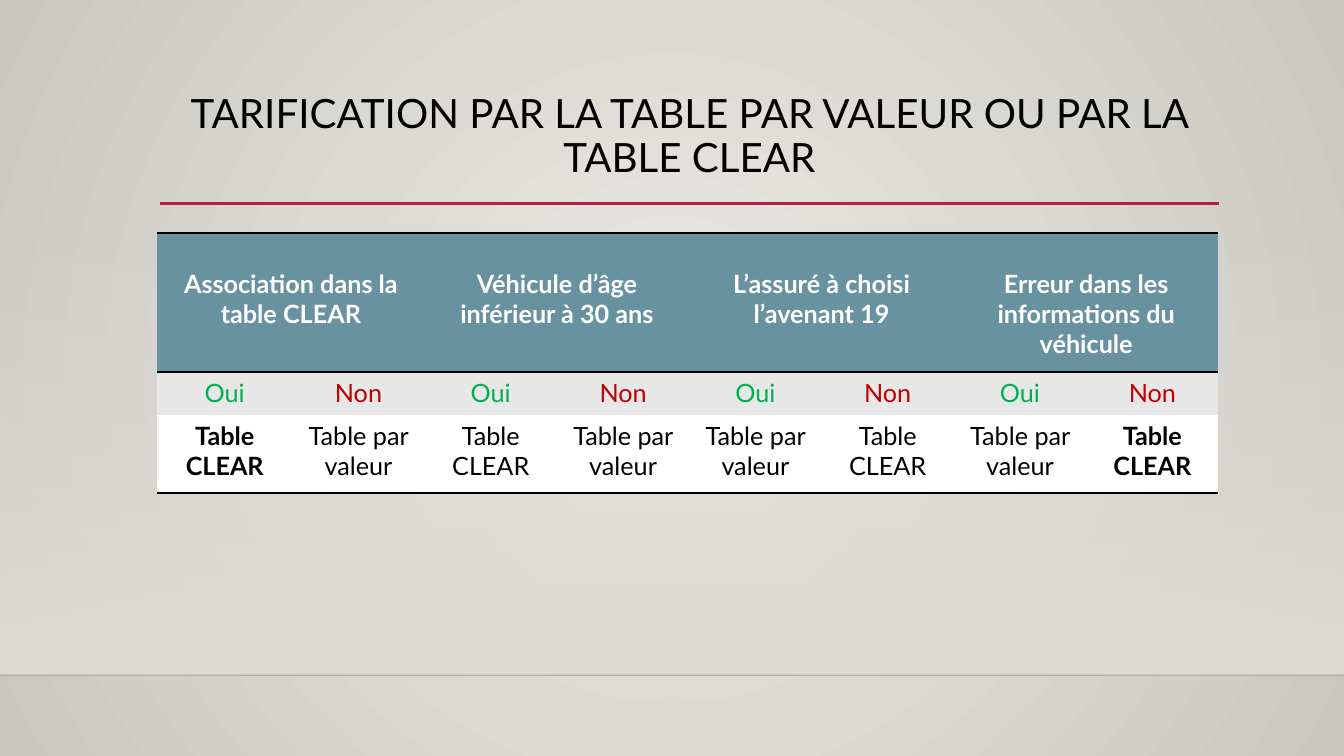
from dataclasses import dataclass

from lxml.etree import SubElement
from pptx import Presentation
from pptx.dml.color import RGBColor
from pptx.dml.fill import FillFormat
from pptx.enum.shapes import MSO_CONNECTOR, MSO_SHAPE
from pptx.enum.text import MSO_ANCHOR, MSO_AUTO_SIZE, PP_ALIGN
from pptx.oxml import parse_xml
from pptx.oxml.ns import nsdecls, qn
from pptx.shapes.connector import Connector
from pptx.slide import Slide
from pptx.table import Table, _Cell
from pptx.text.text import _Paragraph
from pptx.util import Pt

FONT = "Lato"
BLACK = RGBColor(0x00, 0x00, 0x00)
WHITE = RGBColor(0xFF, 0xFF, 0xFF)
GREEN = RGBColor(0x00, 0xB0, 0x50)
RED = RGBColor(0xC0, 0x00, 0x00)
CRIMSON = RGBColor(0xB7, 0x1E, 0x42)
TEAL = RGBColor(0x68, 0x92, 0xA0)
PALE_GREY = RGBColor(0xE7, 0xE7, 0xE7)
WALL_LIGHT = RGBColor(0xEC, 0xEA, 0xE7)
WALL_DARK = RGBColor(0xCA, 0xC7, 0xC1)
HAZE = RGBColor(0xDF, 0xDB, 0xD5)
FLOOR_EDGE = RGBColor(0x00, 0x00, 0x01)

PAGE_WIDTH, PAGE_HEIGHT = 960, 540
HAZE_TOP, FLOOR_TOP = 159.12, 482.4
FIRST_COLUMN, OTHER_COLUMN = 96.5, 94.52
ROW_HEIGHTS = (99.4, 31, 55.4)
HEADER_TOP_MARGIN = 25.2


@dataclass(frozen=True)
class Answer:
    word: str
    color: RGBColor
    pricing: str
    bold: bool = False


@dataclass(frozen=True)
class Criterion:
    heading: str
    answers: tuple[Answer, Answer]


def criterion(heading: str, yes: str, no: str, yes_bold: bool = False,
              no_bold: bool = False) -> Criterion:
    return Criterion(heading, (Answer("Oui", GREEN, yes, yes_bold),
                               Answer("Non", RED, no, no_bold)))


CLEAR, VALUE = "Table CLEAR", "Table par valeur"
CRITERIA = (
    criterion("Association dans la table CLEAR", CLEAR, VALUE, yes_bold=True),
    criterion("Véhicule d’âge inférieur à 30 ans", CLEAR, VALUE),
    criterion("L’assuré à choisi l’avenant 19", VALUE, CLEAR),
    criterion("Erreur dans les informations du véhicule", VALUE, CLEAR, no_bold=True),
)


def set_gradient(fill: FillFormat, start: RGBColor, end: RGBColor) -> None:
    fill.gradient()
    for stop, color in zip(fill.gradient_stops, (start, end)):
        stop.color.rgb = color


def add_span(paragraph: _Paragraph, text: str, size: float, color: RGBColor,
             bold: bool = False) -> None:
    paragraph.alignment = PP_ALIGN.CENTER
    span = paragraph.add_run()
    span.text = text
    span.font.name = FONT
    span.font.size = Pt(size)
    span.font.color.rgb = color
    span.font.bold = bold


def paint_background(page: Slide) -> None:
    set_gradient(page.background.fill, WALL_LIGHT, WALL_DARK)
    linear = next(page.background._cSld.iter(qn("a:lin")))
    circle = parse_xml(
        f'<a:path {nsdecls("a")} path="circle">'
        '<a:fillToRect l="50000" t="50000" r="50000" b="50000"/></a:path>')
    linear.getparent().replace(linear, circle)


def add_haze(page: Slide) -> None:
    haze = page.shapes.add_shape(MSO_SHAPE.RECTANGLE, 0, Pt(HAZE_TOP),
                                 Pt(PAGE_WIDTH), Pt(FLOOR_TOP - HAZE_TOP))
    haze.shadow.inherit = False
    haze.line.fill.background()
    set_gradient(haze.fill, HAZE, HAZE)
    haze.fill.gradient_angle = 270
    top_color = next(haze._element.spPr.iter(qn("a:srgbClr")))
    SubElement(top_color, qn("a:alpha"), val="0")


def add_rule(page: Slide, left: float, right: float, top: float,
             color: RGBColor, width: float) -> Connector:
    rule = page.shapes.add_connector(MSO_CONNECTOR.STRAIGHT, Pt(left), Pt(top),
                                     Pt(right), Pt(top))
    rule.line.color.rgb = color
    rule.line.width = Pt(width)
    SubElement(rule._element.spPr, qn("a:effectLst"))
    return rule


def add_title(page: Slide, text: str) -> None:
    title = page.shapes.title
    title.left, title.top = Pt(114.5), Pt(63.4)
    title.width, title.height = Pt(756), Pt(82.8)
    frame = title.text_frame
    frame.word_wrap = True
    frame.auto_size = MSO_AUTO_SIZE.NONE
    frame.vertical_anchor = MSO_ANCHOR.TOP
    paragraph = frame.paragraphs[0]
    paragraph.line_spacing = 0.9
    add_span(paragraph, text, 28.8, BLACK)


def style_cell(cell: _Cell, fill: RGBColor, borders: tuple[str, ...] = ()) -> None:
    cell.fill.solid()
    cell.fill.fore_color.rgb = fill
    properties = cell._tc.get_or_add_tcPr()
    for index, side in enumerate(borders):
        properties.insert(index, parse_xml(
            f'<a:{side} {nsdecls("a")} w="{Pt(2)}"><a:solidFill>'
            f'<a:srgbClr val="{BLACK}"/></a:solidFill></a:{side}>'))


def fill_criterion(table: Table, column: int, item: Criterion) -> None:
    header = table.cell(0, column)
    header.merge(table.cell(0, column + 1))
    header.margin_top = Pt(HEADER_TOP_MARGIN)
    add_span(header.text_frame.paragraphs[0], item.heading, 18, WHITE, True)
    for position, answer in enumerate(item.answers, column):
        style_cell(table.cell(0, position), TEAL, ("lnT", "lnB"))
        word, pricing = table.cell(1, position), table.cell(2, position)
        style_cell(word, PALE_GREY)
        style_cell(pricing, WHITE, ("lnB",))
        add_span(word.text_frame.paragraphs[0], answer.word, 18, answer.color)
        add_span(pricing.text_frame.paragraphs[0], answer.pricing, 18, BLACK, answer.bold)


def add_pricing_table(page: Slide) -> None:
    columns = 2 * len(CRITERIA)
    width = FIRST_COLUMN + (columns - 1) * OTHER_COLUMN
    table = page.shapes.add_table(len(ROW_HEIGHTS), columns, Pt(112.3), Pt(166.4),
                                  Pt(width), Pt(sum(ROW_HEIGHTS))).table
    table.first_row = table.horz_banding = False
    style = next(table._tbl.iter(qn("a:tableStyleId")))
    style.text = "{2D5ABB26-0587-4C30-8999-92F81FD0307C}"
    for index, column in enumerate(table.columns):
        column.width = Pt(OTHER_COLUMN if index else FIRST_COLUMN)
    for row, height in zip(table.rows, ROW_HEIGHTS):
        row.height = Pt(height)
    for index, item in enumerate(CRITERIA):
        fill_criterion(table, 2 * index, item)


def main() -> None:
    deck = Presentation()
    deck.slide_width, deck.slide_height = Pt(PAGE_WIDTH), Pt(PAGE_HEIGHT)
    page = deck.slides.add_slide(deck.slide_layouts[5])
    paint_background(page)
    add_haze(page)
    floor_edge = add_rule(page, 0, PAGE_WIDTH, FLOOR_TOP, FLOOR_EDGE, 1)
    edge_color = next(floor_edge._element.spPr.iter(qn("a:srgbClr")))
    SubElement(edge_color, qn("a:alpha"), val="20000")
    add_rule(page, 114.5, 871, 145.4, CRIMSON, 2.5)
    add_title(page, "TARIFICATION PAR LA TABLE PAR VALEUR OU PAR LA TABLE CLEAR")
    add_pricing_table(page)
    deck.save("out.pptx")


main()
